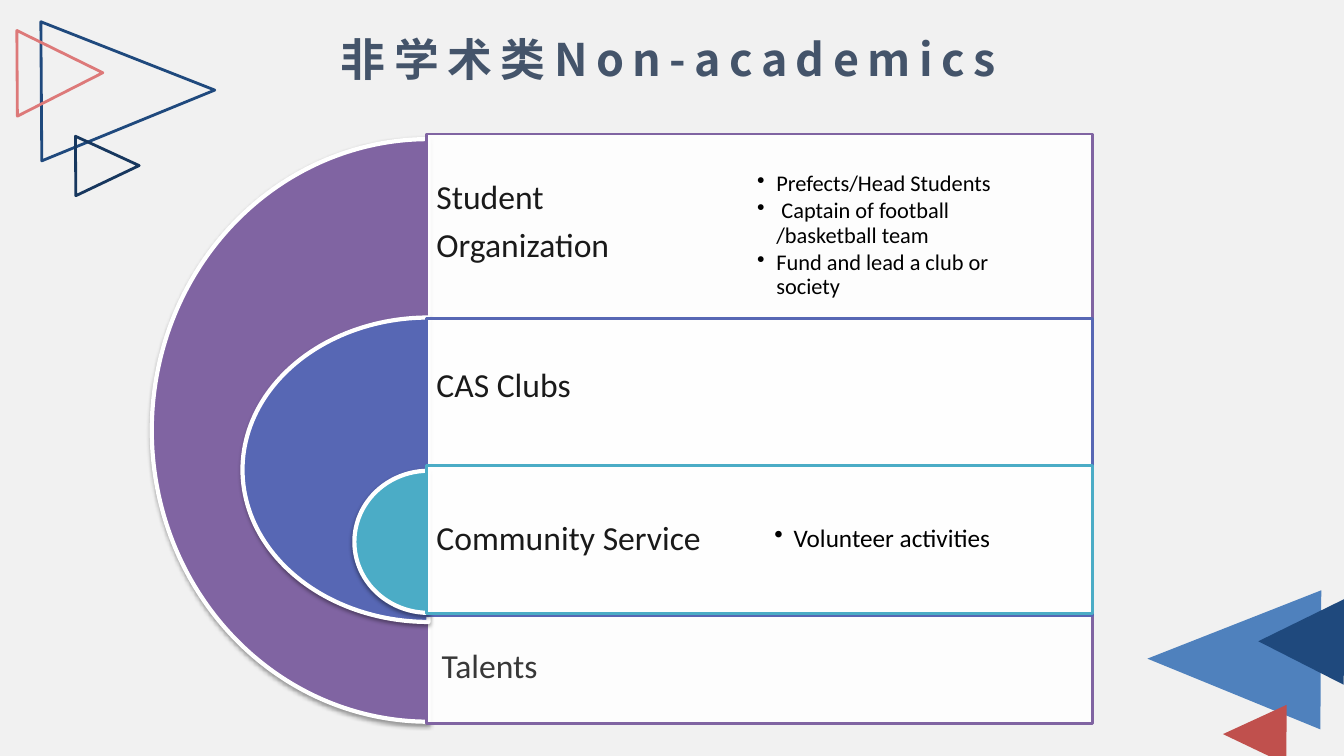
from lxml import etree
from pptx import Presentation, util as u
from pptx.dml.color import RGBColor
from pptx.enum import shapes, text
from pptx.oxml import ns

COLORS = {
    "paper": "F1F1F1", "white": "FFFFFF", "black": "000000",
    "title": "44546A", "label": "1A1A1A", "talent": "383838",
    "purple": "8064A2", "indigo": "5767B4", "teal": "4BACC6",
    "blue": "4F81BD", "navy": "1F497D", "midnight": "17375E",
    "red": "C0504D", "coral": "DD7979",
}
TITLE = "非学术类Non-academics"
TALENT = "Talents"
LAYERS = [
    {"color": "purple", "top": 1.33, "height": 5.85, "label": ["Student", "Organization"],
     "label_height": 1.75, "pie": (1.38, 5.49, 5.78)},
    {"color": "indigo", "top": 3.16, "height": 2.95, "label": ["CAS Clubs"],
     "label_height": 1.36, "pie": (3.15, 3.69, 3.02)},
    {"color": "teal", "top": 4.62, "height": 1.47, "label": ["Community Service"],
     "label_height": 1.47, "pie": (4.67, 1.47, 1.41)},
]
DETAILS = [
    (7.24, 1.49, 16, ["Prefects/Head Students", " Captain of football /basketball team",
                      "Fund and lead a club or society"]),
    (7.41, 4.5, 18, ["Volunteer activities"]),
]
TRIANGLE_SIZES = {"large": (1.38, 1.72), "small": (0.59, 0.63), "medium": (0.85, 0.85)}
SOLID_TRIANGLES = [(11.55, 5.68, "large", "blue"), (12.15, 6.97, "small", "red"),
                   (12.48, 5.94, "medium", "navy")]
OUTLINE_TRIANGLES = [(0.58, 0.04, "large", "navy"), (0.77, 1.33, "small", "midnight"),
                     (0.17, 0.3, "medium", "coral")]
PANEL_LEFT, PANEL_WIDTH = 4.23, 6.61
COLUMN = PANEL_WIDTH / 2
PIE_CENTER = 4.25

deck = Presentation()
deck.slide_width, deck.slide_height = u.Inches(13.33), u.Inches(7.5)
page = deck.slides.add_slide(deck.slide_layouts[6])


def rgb(name):
    return RGBColor.from_string(COLORS[name])


def add_child(parent, tag, **attributes):
    child = etree.SubElement(parent, ns.qn(tag))
    for key, value in attributes.items():
        child.set(key, str(value))
    return child


def draw(kind, left, top, width, height, fill=None, line=None, weight=2, alpha=None):
    shape = page.shapes.add_shape(kind, *map(u.Inches, (left, top, width, height)))
    shape.shadow.inherit = False
    if fill:
        shape.fill.solid()
        shape.fill.fore_color.rgb = rgb(fill)
        if alpha:
            color = shape.element.spPr.find(ns.qn("a:solidFill"))[0]
            add_child(color, "a:alpha", val=alpha * 1000)
    else:
        shape.fill.background()
    if line:
        shape.line.color.rgb = rgb(line)
        shape.line.width = u.Pt(weight)
    else:
        shape.line.fill.background()
    return shape


def cast_shadow(shape):
    effects = shape.element.spPr.find(ns.qn("a:effectLst"))
    shadow = add_child(effects, "a:outerShdw", blurRad=u.Pt(3.1), dist=u.Pt(1.6),
                       dir=90 * 60000, rotWithShape=0)
    color = add_child(shadow, "a:srgbClr", val=COLORS["black"])
    add_child(color, "a:alpha", val=38000)


def write(lines, left, top, width, height, size=24, color="label", font="Calibri",
          bold=False, insets=(0.1, 0.1), anchor="MIDDLE", align="LEFT",
          line_spacing=0.9, after=0.35, spacing=None, bullet=False):
    box = page.shapes.add_textbox(*map(u.Inches, (left, top, width, height)))
    frame = box.text_frame
    frame.word_wrap = True
    frame.vertical_anchor = text.MSO_ANCHOR[anchor]
    frame.margin_left = frame.margin_right = u.Inches(insets[0])
    frame.margin_top = frame.margin_bottom = u.Inches(insets[1])
    for index, line in enumerate(lines):
        para = frame.paragraphs[0] if index == 0 else frame.add_paragraph()
        if bullet:
            para.level = 1
            props = para._p.get_or_add_pPr()
            props.set("marL", str(u.Inches(0.19)))
            props.set("indent", str(u.Inches(-0.19)))
            add_child(props, "a:buChar", char="•")
        para.alignment = text.PP_ALIGN[align]
        para.line_spacing = line_spacing
        para.space_after = u.Pt(round(size * after, 1))
        span = para.add_run()
        span.text = line
        span.font.size, span.font.bold, span.font.name = u.Pt(size), bold, font
        span.font.color.rgb = rgb(color)
        props = span.font._element
        add_child(props, "a:ea", typeface=font)
        if spacing:
            props.set("spc", str(spacing * 100))


def main():
    page.background.fill.solid()
    page.background.fill.fore_color.rgb = rgb("paper")
    triangle = shapes.MSO_SHAPE.ISOSCELES_TRIANGLE
    for left, top, size, color in SOLID_TRIANGLES:
        draw(triangle, left, top, *TRIANGLE_SIZES[size], fill=color).rotation = 270.4
    for left, top, size, color in OUTLINE_TRIANGLES:
        draw(triangle, left, top, *TRIANGLE_SIZES[size], line=color).rotation = 89.6

    for layer in LAYERS:
        top, width, height = layer["pie"]
        pie = draw(shapes.MSO_SHAPE.PIE, PIE_CENTER - width / 2, top, width, height,
                   fill=layer["color"], line="white", weight=3)
        pie.adjustments[0], pie.adjustments[1] = 54, 162
        cast_shadow(pie)
        draw(shapes.MSO_SHAPE.RECTANGLE, PANEL_LEFT, layer["top"], PANEL_WIDTH,
             layer["height"], fill="white", line=layer["color"], alpha=90)
        write(layer["label"], PANEL_LEFT, layer["top"], COLUMN, layer["label_height"])

    for left, top, size, lines in DETAILS:
        write(lines, left, top, COLUMN, 1.7, size=size, color="black",
              insets=(0.27, 0.27), after=0.15, bullet=True)
    write([TALENT], 4.25, 6.33, 1.86, 0.54, color="talent", insets=(0.13, 0.07),
          anchor="TOP", line_spacing=1, after=0)
    write([TITLE], 0.19, 0.31, 12.88, 0.54, size=32, color="title",
          font="Noto Sans CJK SC", bold=True, insets=(0, 0), align="CENTER",
          line_spacing=1, after=0, spacing=6)
    deck.save("out.pptx")


if __name__ == "__main__":
    main()
